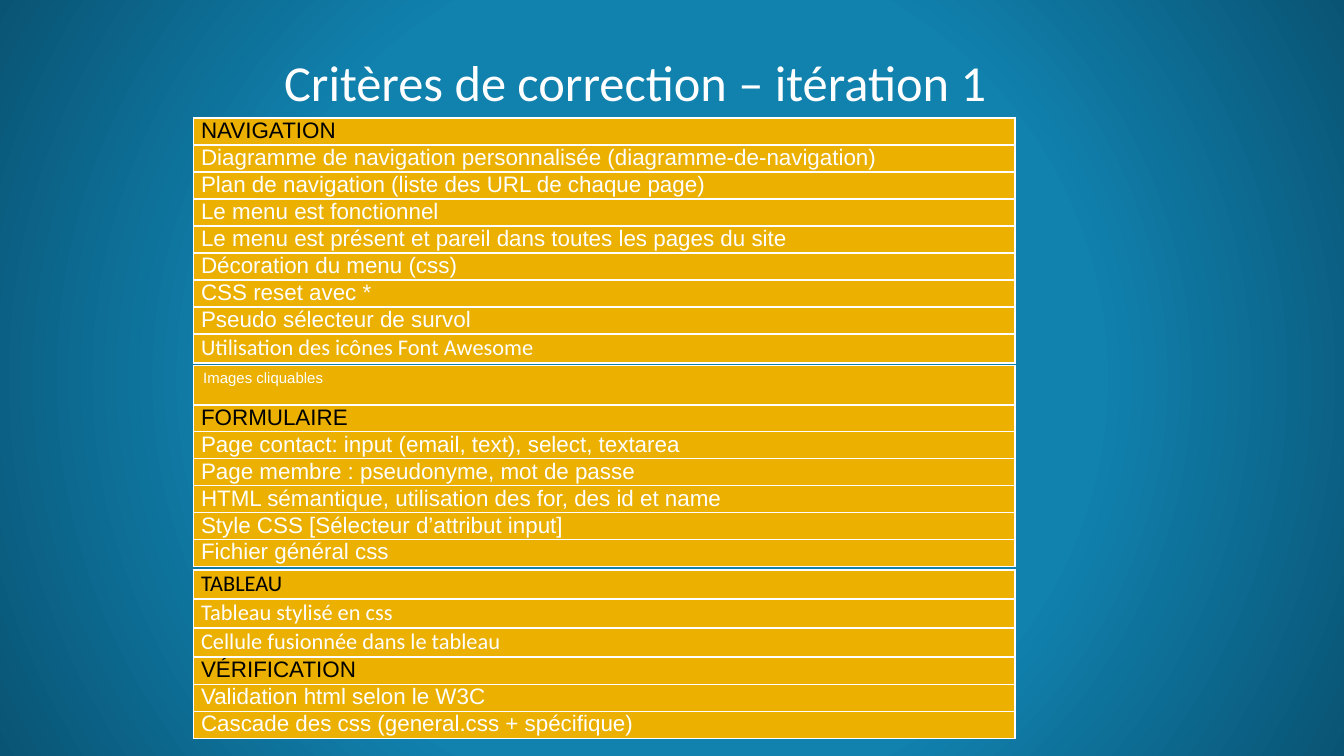
from dataclasses import dataclass

import pptx
import pptx.dml.color
import pptx.enum.text
import pptx.oxml
import pptx.oxml.ns
import pptx.util
from pptx.util import Cm


@dataclass(frozen=True)
class Theme:
    white: str = "FFFFFF"
    black: str = "000000"
    gold: str = "EBB000"
    blue: str = "1181AE"
    dark_blue: str = "095474"
    title_size: int = 27
    row_size: int = 12
    small_size: int = 8
    sans: str = "Arial"
    humanist: str = "Calibri"


theme = Theme()
NAMESPACE = pptx.oxml.ns.nsdecls("a")


def add_run(paragraph, text, font_name, size, color):
    run = paragraph.add_run()
    run.text = text
    run.font.name = font_name
    run.font.size = pptx.util.Pt(size)
    run.font.bold = False
    run.font.color.rgb = pptx.dml.color.RGBColor.from_string(color)


presentation = pptx.Presentation()
presentation.slide_width = Cm(25.4)
presentation.slide_height = Cm(14.29)
slide = presentation.slides.add_slide(presentation.slide_layouts[6])

# Radial background
fill = slide.background.fill
fill.gradient()
gradient = slide._element.find(".//" + pptx.oxml.ns.qn("a:gradFill"))
stops = "".join(
    f'<a:gs pos="{position * 1000}"><a:srgbClr val="{color}"/></a:gs>'
    for position, color in ((0, theme.blue), (55, theme.blue), (100, theme.dark_blue)))
gradient.getparent().replace(gradient, pptx.oxml.parse_xml(
    f'<a:gradFill {NAMESPACE} rotWithShape="1"><a:gsLst>{stops}</a:gsLst>'
    '<a:path path="circle"><a:fillToRect l="50000" t="50000" r="50000" b="50000"/>'
    '</a:path></a:gradFill>'))

# Title
title = slide.shapes.add_textbox(Cm(4.04), Cm(0.81), Cm(15.93), Cm(1.47))
frame = title.text_frame
frame.word_wrap = True
frame.vertical_anchor = pptx.enum.text.MSO_ANCHOR.MIDDLE
frame.margin_left = frame.margin_right = Cm(0.25)
frame.margin_top = frame.margin_bottom = Cm(0.25)
paragraph = frame.paragraphs[0]
paragraph.alignment = pptx.enum.text.PP_ALIGN.CENTER
add_run(paragraph, "Critères de correction – itération 1",
        theme.humanist, theme.title_size, theme.white)

# Criteria tables, back to front: top edge and rows, the first row being the heading
criteria_tables = [
    (2.23, ["NAVIGATION",
            "Diagramme de navigation personnalisée (diagramme-de-navigation)",
            "Plan de navigation (liste des URL de chaque page)",
            "Le menu est fonctionnel",
            "Le menu est présent et pareil dans toutes les pages du site",
            "Décoration du menu (css)",
            "CSS reset avec *",
            "Pseudo sélecteur de survol",
            "Utilisation des icônes Font Awesome"]),
    (7.65, ["FORMULAIRE",
            "Page contact: input (email, text), select, textarea",
            "Page membre : pseudonyme, mot de passe",
            "HTML sémantique, utilisation des for, des id et name",
            "Style CSS [Sélecteur d’attribut input]",
            "Fichier général css"]),
    (12.43, ["VÉRIFICATION",
             "Validation html selon le W3C",
             "Cascade des css (general.css + spécifique)"]),
    (10.77, ["TABLEAU",
             "Tableau stylisé en css",
             "Cellule fusionnée dans le tableau"]),
    (6.91, ["Images cliquables"]),
]
humanist_rows = {"Utilisation des icônes Font Awesome", *criteria_tables[3][1]}

# The white cell edges come from the default table style
for top, rows in criteria_tables:
    single = len(rows) == 1
    heights = [Cm(0.74 if single else 0.55 if text in humanist_rows else 0.51)
               for text in rows]
    table = slide.shapes.add_table(len(rows), 1, Cm(3.66), Cm(top), Cm(15.52),
                                   sum(heights)).table
    table.horz_banding = False
    for index, text in enumerate(rows):
        table.rows[index].height = heights[index]
        cell = table.cell(index, 0)
        cell.fill.solid()
        cell.fill.fore_color.rgb = pptx.dml.color.RGBColor.from_string(theme.gold)
        cell.margin_left = cell.margin_right = Cm(0.18 if single else 0.14)
        cell.margin_top = cell.margin_bottom = Cm(0.09 if single else 0)
        add_run(cell.text_frame.paragraphs[0], text,
                theme.humanist if text in humanist_rows else theme.sans,
                theme.small_size if single else theme.row_size,
                theme.black if index == 0 and not single else theme.white)

presentation.save("out.pptx")
